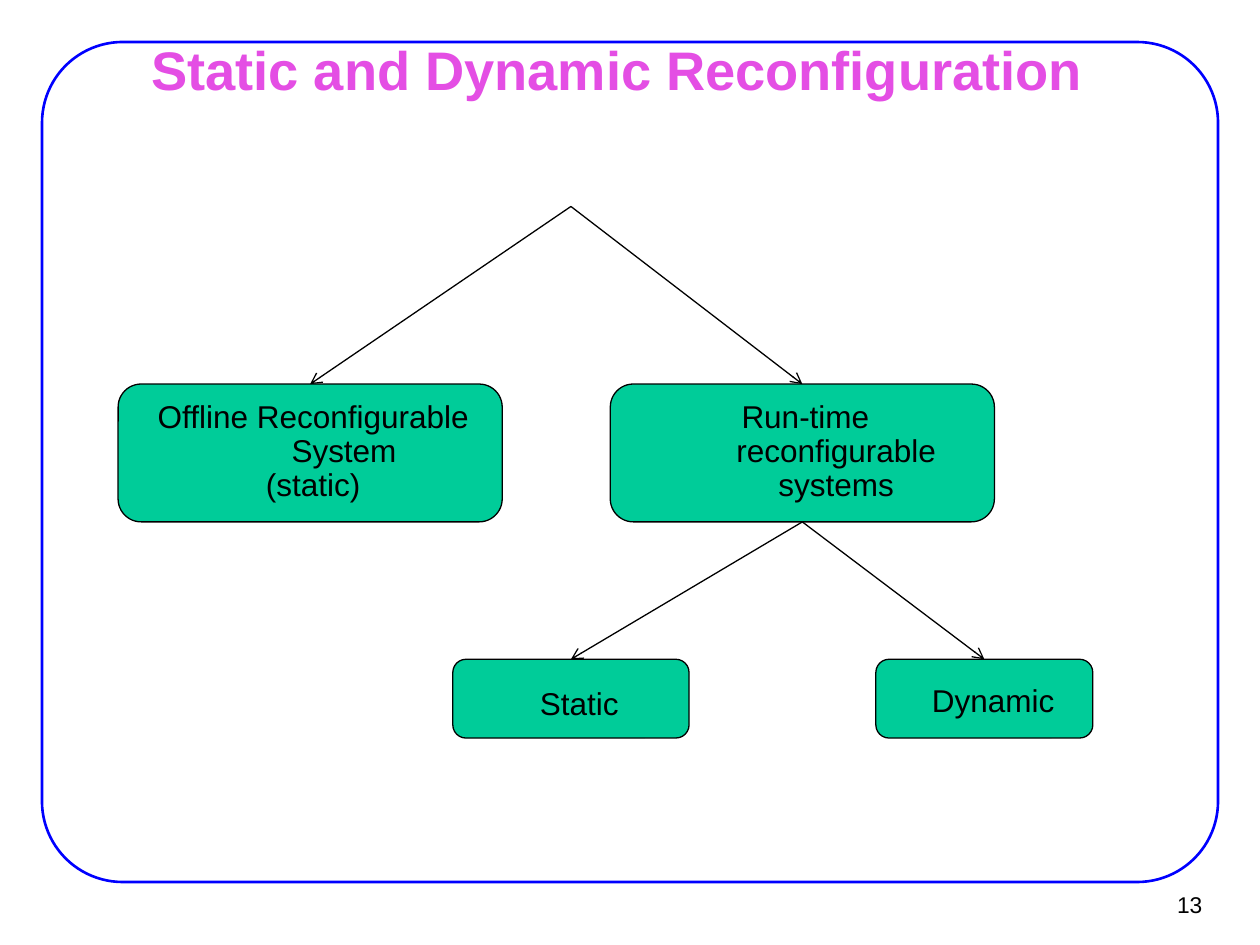
from dataclasses import dataclass

from pptx import Presentation
from pptx.dml.color import RGBColor
from pptx.enum.shapes import MSO_CONNECTOR, MSO_SHAPE
from pptx.enum.text import MSO_ANCHOR, MSO_AUTO_SIZE, PP_ALIGN
from pptx.oxml.ns import qn
from pptx.slide import Slide
from pptx.util import Pt
from lxml.etree import SubElement

BLACK = RGBColor(0x00, 0x00, 0x00)
BLUE = RGBColor(0x00, 0x00, 0xFF)
GREEN = RGBColor(0x00, 0xCC, 0x99)
PINK = RGBColor(0xE4, 0x4E, 0xE4)
FONT = "Arial"


@dataclass(frozen=True)
class Area:
    left: float
    top: float
    width: float
    height: float

    @property
    def lengths(self) -> tuple:
        return Pt(self.left), Pt(self.top), Pt(self.width), Pt(self.height)

    @property
    def top_center(self) -> tuple:
        return self.left + self.width / 2, self.top

    @property
    def bottom_center(self) -> tuple:
        return self.left + self.width / 2, self.top + self.height


@dataclass(frozen=True)
class Node:
    area: Area
    label_area: Area
    lines: tuple


OFFLINE = Node(Area(67.5, 219.5, 219.5, 78.75), Area(56.25, 226, 224.5, 66),
               ("Offline Reconfigurable System", "(static)"))
RUN_TIME = Node(Area(348.75, 219.5, 219.5, 78.75), Area(337.5, 226, 224.5, 86),
                ("Run-time reconfigurable systems",))
STATIC = Node(Area(258.75, 376.75, 135, 45), Area(230.5, 389.5, 180, 27), ("Static",))
DYNAMIC = Node(Area(500.5, 376.75, 124, 45), Area(489.5, 388, 135, 27), ("Dynamic",))
ROOT = (326.25, 118)


def add_rounded_box(page: Slide, area: Area, corner: float, line_color: RGBColor,
                    line_width: float, fill_color: RGBColor | None = None) -> None:
    box = page.shapes.add_shape(MSO_SHAPE.ROUNDED_RECTANGLE, *area.lengths)
    box.adjustments[0] = corner
    box.shadow.inherit = False
    if fill_color is None:
        box.fill.background()
    else:
        box.fill.solid()
        box.fill.fore_color.rgb = fill_color
    box.line.color.rgb = line_color
    box.line.width = Pt(line_width)


def add_text(page: Slide, area: Area, lines: tuple, size: float, color: RGBColor = BLACK,
             align: PP_ALIGN = PP_ALIGN.CENTER, spacing: float = 1.0, bold: bool = False):
    frame = page.shapes.add_textbox(*area.lengths).text_frame
    frame.word_wrap = True
    frame.text = "\n".join(lines)
    for paragraph in frame.paragraphs:
        paragraph.alignment = align
        paragraph.line_spacing = spacing
        paragraph.font.name = FONT
        paragraph.font.size = Pt(size)
        paragraph.font.bold = bold
        paragraph.font.color.rgb = color
    return frame


def add_node(page: Slide, node: Node) -> None:
    add_rounded_box(page, node.area, 0.167, BLACK, 0.75, GREEN)
    frame = add_text(page, node.label_area, node.lines, 18, spacing=0.9)
    frame.auto_size = MSO_AUTO_SIZE.SHAPE_TO_FIT_TEXT
    for paragraph in frame.paragraphs:
        paragraph.level = 1
        # Hanging indent
        properties = paragraph._p.get_or_add_pPr()
        properties.set("marL", str(Pt(56.25)))
        properties.set("indent", str(Pt(-35.25)))


def add_arrow(page: Slide, start: tuple, end: tuple) -> None:
    arrow = page.shapes.add_connector(MSO_CONNECTOR.STRAIGHT,
                                      *(Pt(value) for value in start + end))
    arrow.line.color.rgb = BLACK
    arrow.line.width = Pt(0.75)
    SubElement(arrow.line._get_or_add_ln(), qn("a:tailEnd"), type="arrow")
    SubElement(arrow._element.spPr, qn("a:effectLst"))


def main() -> None:
    deck = Presentation()
    deck.slide_width, deck.slide_height = Pt(720), Pt(540)
    page = deck.slides.add_slide(deck.slide_layouts[6])

    # Frame and page number
    add_rounded_box(page, Area(24, 24, 672, 480), 0.096, BLUE, 1.5)
    number = add_text(page, Area(649.5, 503.5, 44, 26.5), ("13",), 13, align=PP_ALIGN.RIGHT)
    number.vertical_anchor = MSO_ANCHOR.MIDDLE
    number.margin_left = number.margin_right = Pt(6.5)

    # Title, set slightly left of centre by its wider right margin
    title = add_text(page, Area(1.5, 6, 718.5, 71), ("Static and Dynamic Reconfiguration",),
                     31, PINK, spacing=0.93, bold=True)
    title.vertical_anchor = MSO_ANCHOR.MIDDLE
    title.margin_left, title.margin_right = Pt(6.5), Pt(23.5)

    # Tree of system kinds
    for node in (OFFLINE, RUN_TIME, STATIC, DYNAMIC):
        add_node(page, node)
    for start, children in ((RUN_TIME.area.bottom_center, (STATIC, DYNAMIC)),
                            (ROOT, (OFFLINE, RUN_TIME))):
        for child in children:
            add_arrow(page, start, child.area.top_center)

    deck.save("out.pptx")


if __name__ == "__main__":
    main()
